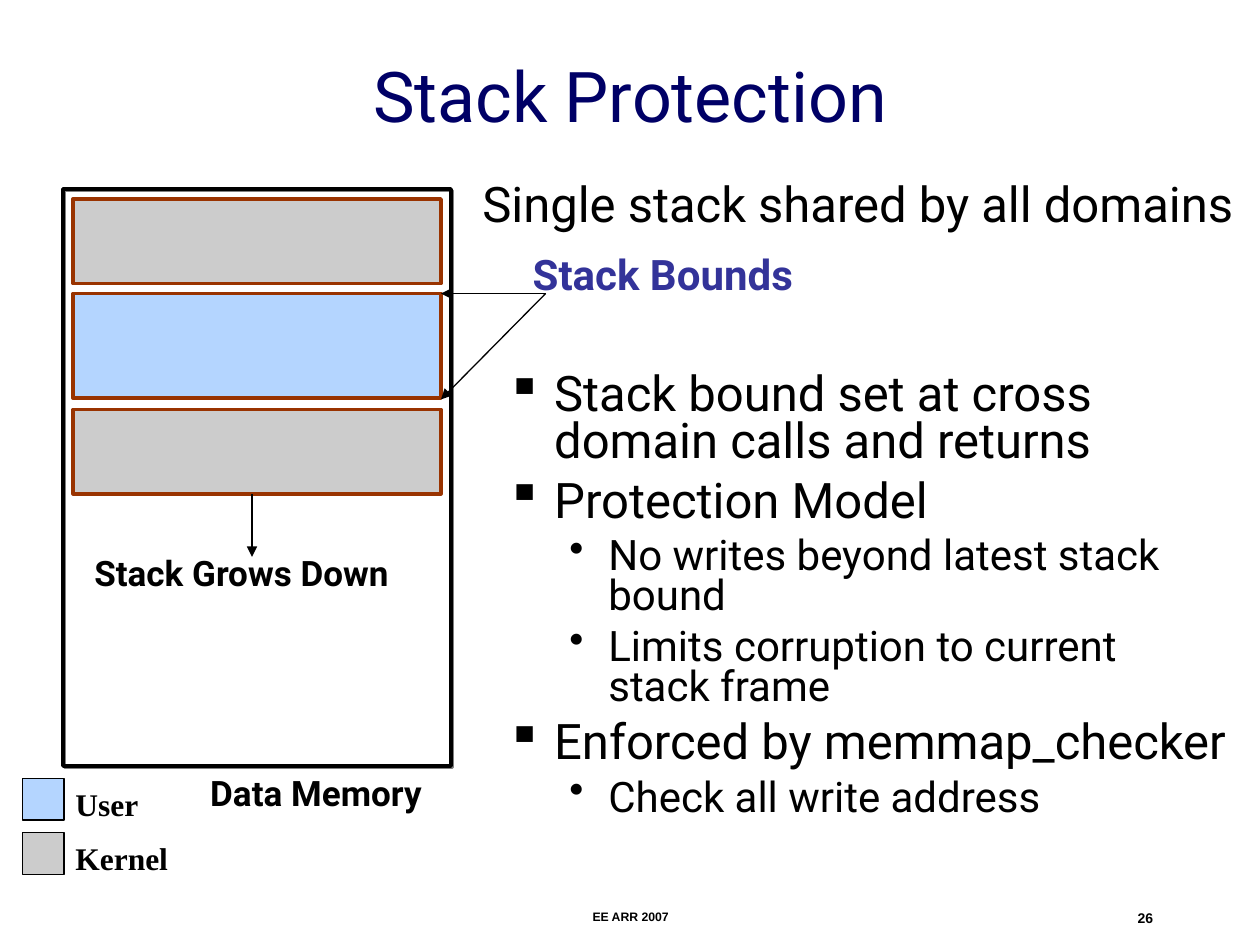
from lxml import etree
from pptx import Presentation
from pptx.dml.color import RGBColor
from pptx.enum.shapes import MSO_CONNECTOR, MSO_SHAPE
from pptx.enum.text import MSO_ANCHOR, PP_ALIGN
from pptx.oxml.ns import qn
from pptx.util import Inches, Pt

RECTANGLE = MSO_SHAPE.RECTANGLE
STRAIGHT = MSO_CONNECTOR.STRAIGHT
LEFT, CENTER, RIGHT = PP_ALIGN.LEFT, PP_ALIGN.CENTER, PP_ALIGN.RIGHT
TOP, MIDDLE = MSO_ANCHOR.TOP, MSO_ANCHOR.MIDDLE

BLACK = "000000"
NAVY = "000066"
INDIGO = "333399"
RUST = "993300"
USER = "B4D5FF"
KERNEL = "CCCCCC"
SHADOW = "808080"
SANS, SERIF, FOOTER = "Roboto", "Times New Roman", "Arial"


def color(value):
    return RGBColor.from_string(value)


class SlideBuilder:
    bullet_levels = (
        {"mark": "▪", "size": 28, "margin": 0.38, "hang": 0.38, "before": 7},
        {"mark": "•", "size": 24, "margin": 0.81, "hang": 0.31, "before": 6},
    )

    def __init__(self, slide):
        self.slide = slide

    def style(self, paragraph, size, ink=BLACK, face=SANS, bold=False):
        paragraph.font.size = Pt(size)
        paragraph.font.name = face
        paragraph.font.bold = bold
        paragraph.font.color.rgb = color(ink)

    def frame(self, left, top, width, height, wrap):
        box = self.slide.shapes.add_textbox(
            Inches(left), Inches(top), Inches(width), Inches(height))
        box.text_frame.word_wrap = wrap
        return box.text_frame

    def text(self, words, left, top, width, height, size, ink=BLACK, face=SANS,
             bold=False, align=LEFT, anchor=TOP, wrap=False):
        frame = self.frame(left, top, width, height, wrap)
        frame.vertical_anchor = anchor
        paragraph = frame.paragraphs[0]
        paragraph.text = words
        paragraph.alignment = align
        self.style(paragraph, size, ink, face, bold)

    def bullets(self, items, left, top, width, height):
        frame = self.frame(left, top, width, height, True)
        for index, (level, words) in enumerate(items):
            look = self.bullet_levels[level]
            paragraph = frame.add_paragraph() if index else frame.paragraphs[0]
            paragraph.text = words
            paragraph.level = level
            paragraph.line_spacing = 0.8
            paragraph.space_before = Pt(look["before"])
            self.style(paragraph, look["size"])
            properties = paragraph._p.get_or_add_pPr()
            properties.set("marL", str(Inches(look["margin"])))
            properties.set("indent", str(-Inches(look["hang"])))
            mark = etree.Element(qn("a:buChar"), char=look["mark"])
            properties.find(qn("a:defRPr")).addprevious(mark)

    def rectangle(self, left, top, width, height, fill=None, line=BLACK,
                  weight=0.75, shadow=None):
        shape = self.slide.shapes.add_shape(
            RECTANGLE, Inches(left), Inches(top), Inches(width), Inches(height))
        shape.shadow.inherit = False
        if fill:
            shape.fill.solid()
            shape.fill.fore_color.rgb = color(fill)
        else:
            shape.fill.background()
        shape.line.color.rgb = color(line)
        shape.line.width = Pt(weight)
        if shadow:
            effects = shape._element.spPr.find(qn("a:effectLst"))
            outer = etree.SubElement(
                effects, qn("a:outerShdw"), dist=str(Pt(1.4)), dir="2700000",
                algn="ctr", rotWithShape="0")
            etree.SubElement(outer, qn("a:srgbClr"), val=shadow)

    def arrow(self, start, end):
        connector = self.slide.shapes.add_connector(
            STRAIGHT, *(Inches(value) for value in (*start, *end)))
        connector.line.color.rgb = color(BLACK)
        connector.line.width = Pt(0.75)
        etree.SubElement(connector.line._get_or_add_ln(), qn("a:tailEnd"),
                         type="triangle")
        etree.SubElement(connector._element.spPr, qn("a:effectLst"))


def main():
    presentation = Presentation()
    presentation.slide_width = Inches(10)
    presentation.slide_height = Inches(7.5)
    builder = SlideBuilder(
        presentation.slides.add_slide(presentation.slide_layouts[6]))

    builder.text("Stack Protection", 0.75, 0.25, 8.5, 1, 40, NAVY,
                 align=CENTER, anchor=MIDDLE, wrap=True)

    builder.rectangle(0.5, 1.5, 3.08, 4.58, weight=2, shadow=SHADOW)
    builder.text("Data Memory", 1.57, 6.07, 2.09, 0.44, 20, bold=True)

    frame_left, frame_width = 0.58, 2.92
    for top, height, domain in ((1.58, 0.67, KERNEL), (2.33, 0.83, USER),
                                (3.25, 0.67, KERNEL)):
        builder.rectangle(frame_left, top, frame_width, height, domain, RUST, 2)

    builder.arrow((2, 3.92), (2, 4.42))
    builder.text("Stack Grows Down", 0.65, 4.33, 2.78, 0.44, 20, bold=True)

    builder.text("Stack Bounds", 4.13, 1.92, 2.44, 0.5, 24, INDIGO, bold=True)
    for bound in (3.17, 2.33):
        builder.arrow((4.33, 2.33), (frame_left + frame_width, bound))

    builder.text("Single stack shared by all domains", 3.73, 1.33, 6.45, 0.57, 28)
    builder.bullets((
        (0, "Stack bound set at cross domain calls and returns"),
        (0, "Protection Model"),
        (1, "No writes beyond latest stack bound"),
        (1, "Limits corruption to current stack frame"),
        (0, "Enforced by memmap_checker"),
        (1, "Check all write address"),
    ), 3.92, 2.92, 5.92, 4.17)

    for domain, fill, top, width in (("User", USER, 6.18, 0.77),
                                     ("Kernel", KERNEL, 6.61, 1.01)):
        builder.rectangle(0.18, top, 0.33, 0.33, fill)
        builder.text(domain, 0.5, top, width, 0.4, 18, face=SERIF, bold=True)

    builder.text("EE ARR 2007", 3.42, 7.17, 3.17, 0.17, 7, face=FOOTER,
                 bold=True, align=CENTER, wrap=True)
    builder.text("26", 7.17, 7.17, 2.08, 0.17, 8, face=FOOTER,
                 bold=True, align=RIGHT, wrap=True)

    presentation.save("out.pptx")


if __name__ == "__main__":
    main()
